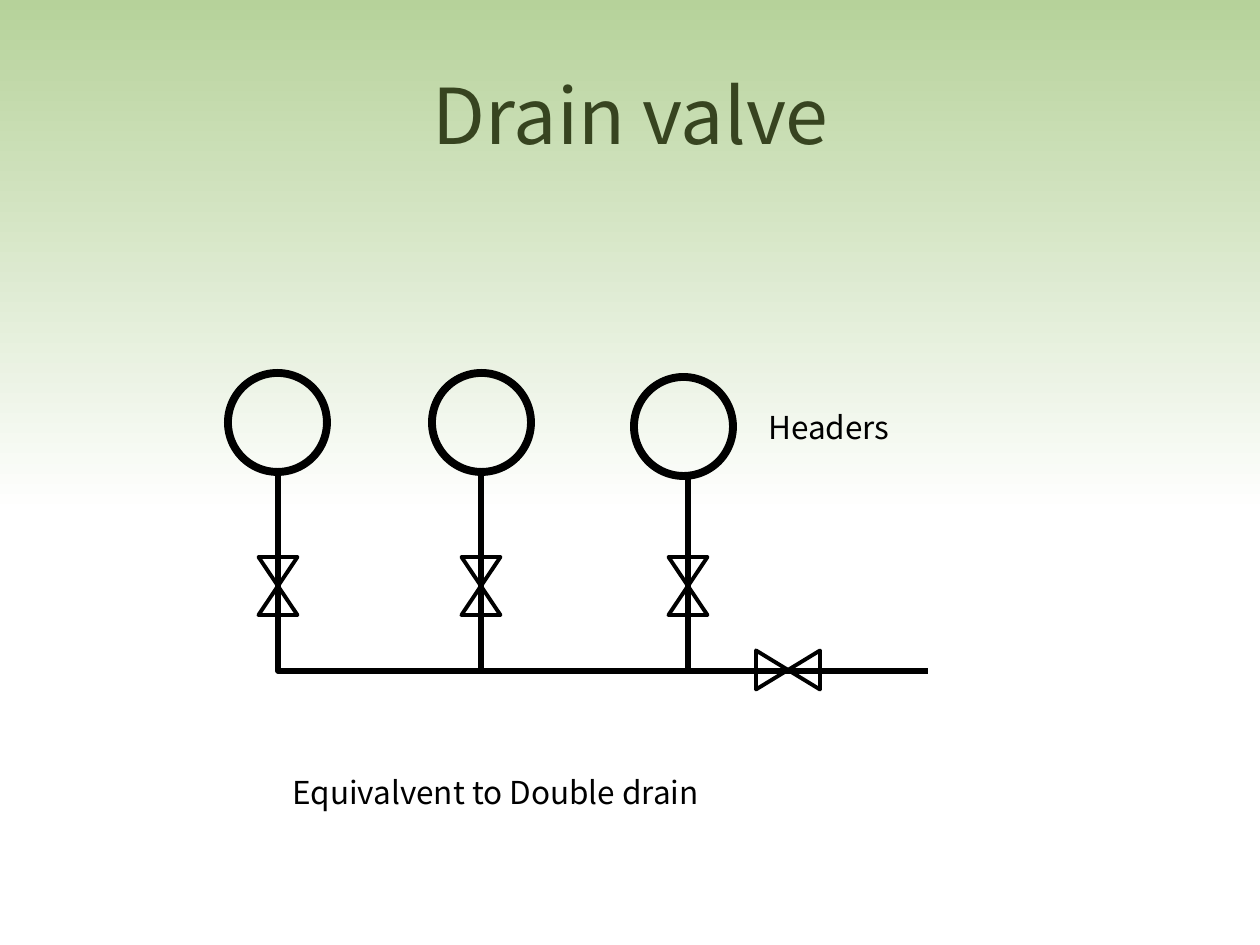
from dataclasses import dataclass
from math import cos, radians, sin

from lxml.etree import SubElement
from pptx import Presentation
from pptx.dml.color import RGBColor
from pptx.enum.shapes import MSO_CONNECTOR as Connector, MSO_SHAPE as Shape
from pptx.enum.text import MSO_ANCHOR as Anchor, PP_ALIGN as Align
from pptx.oxml.ns import qn
from pptx.util import Pt

PX = 914400 / 126
FONT = "Noto Sans CJK KR"
BLACK = "000000"
HEADER_SIZE = 99
VALVE_WIDTH = 39
PIPE_TOP, PIPE_BOTTOM = 473, 671
PIPE_END = 928


@dataclass
class Header:
    left: int
    top: int


@dataclass
class Valve:
    x: int
    y: int
    half_length: int
    rotation: int = 0


HEADERS = [Header(634, 377), Header(432, 373), Header(228, 373)]
BRANCHES = [481, 688]
VALVES = [
    Valve(278, 586, 29),
    Valve(481, 586, 29),
    Valve(788, 670, 32, 270),
    Valve(688, 586, 29),
]


def px(value: float) -> int:
    return round(value * PX)


def color(value: str) -> RGBColor:
    return RGBColor.from_string(value)


def add_outline(shapes, kind, left: float, top: float, width: int, height: int,
                weight: float):
    shape = shapes.add_shape(kind, px(left), px(top), px(width), px(height))
    shape.shadow.inherit = False
    shape.fill.background()
    shape.line.color.rgb = color(BLACK)
    shape.line.width = Pt(weight)
    return shape


def add_pipe(shapes, kind, x1: int, y1: int, x2: int, y2: int):
    pipe = shapes.add_connector(kind, px(x1), px(y1), px(x2), px(y2))
    pipe.line.color.rgb = color(BLACK)
    pipe.line.width = Pt(3)
    SubElement(pipe._element.spPr, qn("a:effectLst"))
    return pipe


def add_drain_pipe(shapes, x1: int, y1: int, x2: int, y2: int) -> None:
    """Run down and then right: a one-bend connector turned by 270 degrees."""
    x, y = (x1 + x2) / 2, (y1 + y2) / 2
    half_width, half_height = (y2 - y1) / 2, (x2 - x1) / 2
    pipe = add_pipe(shapes, Connector.ELBOW, x + half_width, y - half_height,
                    x - half_width, y + half_height)
    properties = pipe._element.spPr
    properties.find(qn("a:xfrm")).set("rot", str(270 * 60000))
    properties.find(qn("a:prstGeom")).set("prst", "bentConnector2")


def add_valve(shapes, valve: Valve) -> None:
    """Two triangles that meet at their tips."""
    group = shapes.add_group_shape()
    for rotation in (valve.rotation, (valve.rotation + 180) % 360):
        angle = radians(rotation)
        x = valve.x - sin(angle) * valve.half_length / 2
        y = valve.y + cos(angle) * valve.half_length / 2
        triangle = add_outline(
            group.shapes, Shape.ISOSCELES_TRIANGLE, x - VALVE_WIDTH / 2,
            y - valve.half_length / 2, VALVE_WIDTH, valve.half_length, 2.25)
        triangle.rotation = rotation


def add_text(shapes, text: str, left: int, top: int, width: int, height: int, *,
             size: int = 18, fill: str = BLACK, align=Align.LEFT,
             anchor=Anchor.TOP, wrap: bool = False) -> None:
    frame = shapes.add_textbox(px(left), px(top), px(width), px(height)).text_frame
    frame.word_wrap = wrap
    frame.vertical_anchor = anchor
    paragraph = frame.paragraphs[0]
    paragraph.alignment = align
    run = paragraph.add_run()
    run.text = text
    run.font.name = FONT
    run.font.size = Pt(size)
    run.font.color.rgb = color(fill)
    SubElement(run.font._element, qn("a:ea")).set("typeface", FONT)


def add_background(shapes) -> None:
    band = shapes.add_shape(Shape.RECTANGLE, 0, 0, px(1260), px(514))
    band.shadow.inherit = False
    band.line.fill.background()
    band.fill.gradient()
    band.fill.gradient_angle = 270
    for stop, position, value in zip(band.fill.gradient_stops, (0, 1),
                                     ("B6D29A", "FFFFFF")):
        stop.position = position
        stop.color.rgb = color(value)


def main() -> None:
    presentation = Presentation()
    presentation.slide_width, presentation.slide_height = px(1260), px(945)
    slide = presentation.slides.add_slide(presentation.slide_layouts[6])
    shapes = slide.shapes

    # Background and title
    add_background(shapes)
    add_text(shapes, "Drain valve", 64, 35, 1134, 158, size=44, fill="374420",
             align=Align.CENTER, anchor=Anchor.MIDDLE, wrap=True)

    # Headers
    for header in HEADERS:
        add_outline(shapes, Shape.OVAL, header.left, header.top,
                    HEADER_SIZE, HEADER_SIZE, 4.5)

    # Pipes
    add_drain_pipe(shapes, 278, PIPE_TOP, PIPE_END, PIPE_BOTTOM)
    for x in BRANCHES:
        add_pipe(shapes, Connector.STRAIGHT, x, PIPE_TOP, x, PIPE_BOTTOM)

    # Valves and labels
    add_text(shapes, "Headers", 756, 402, 150, 50)
    for valve in VALVES:
        add_valve(shapes, valve)
    add_text(shapes, "Equivalvent to Double drain", 280, 767, 445, 50)

    presentation.save("out.pptx")


if __name__ == "__main__":
    main()
